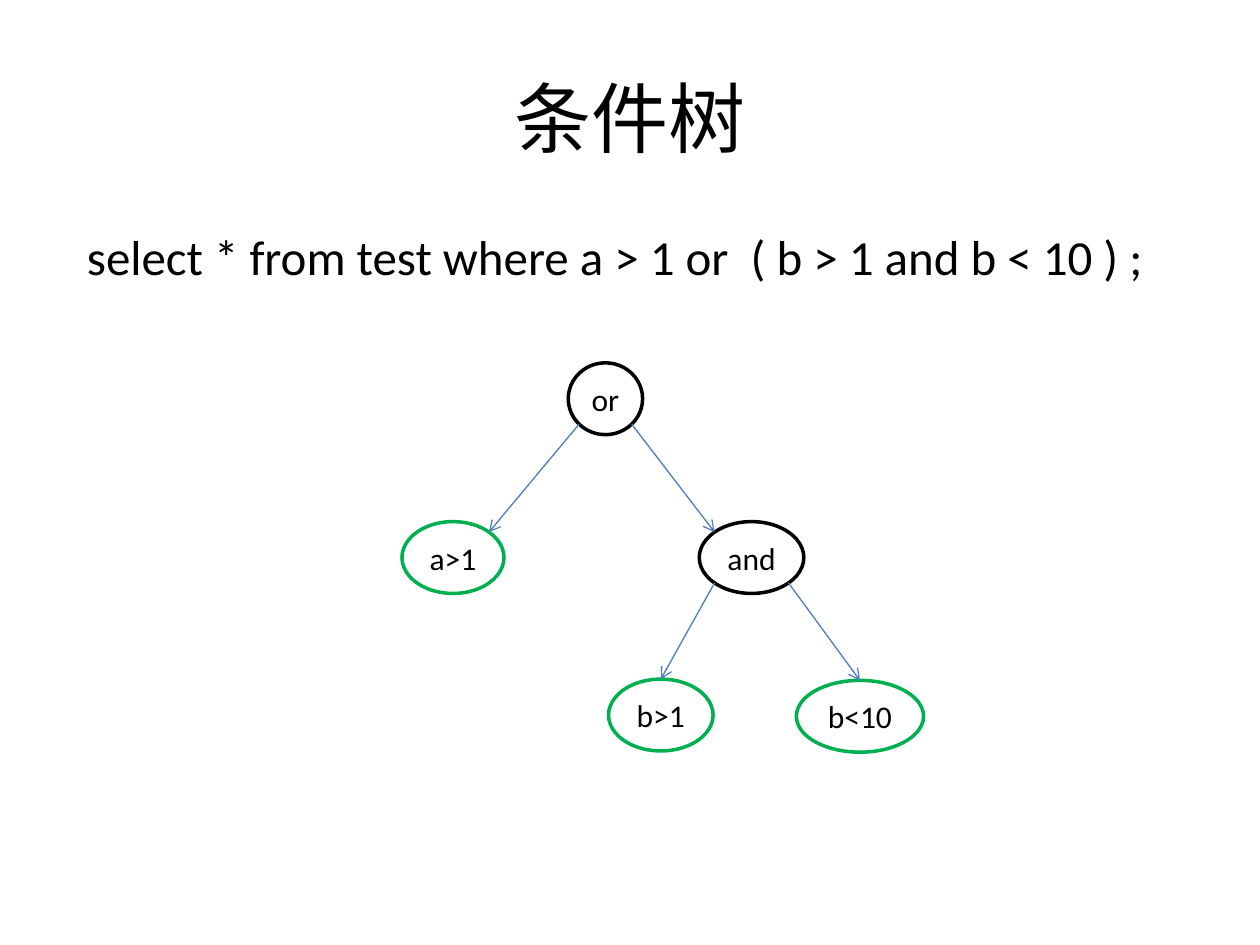
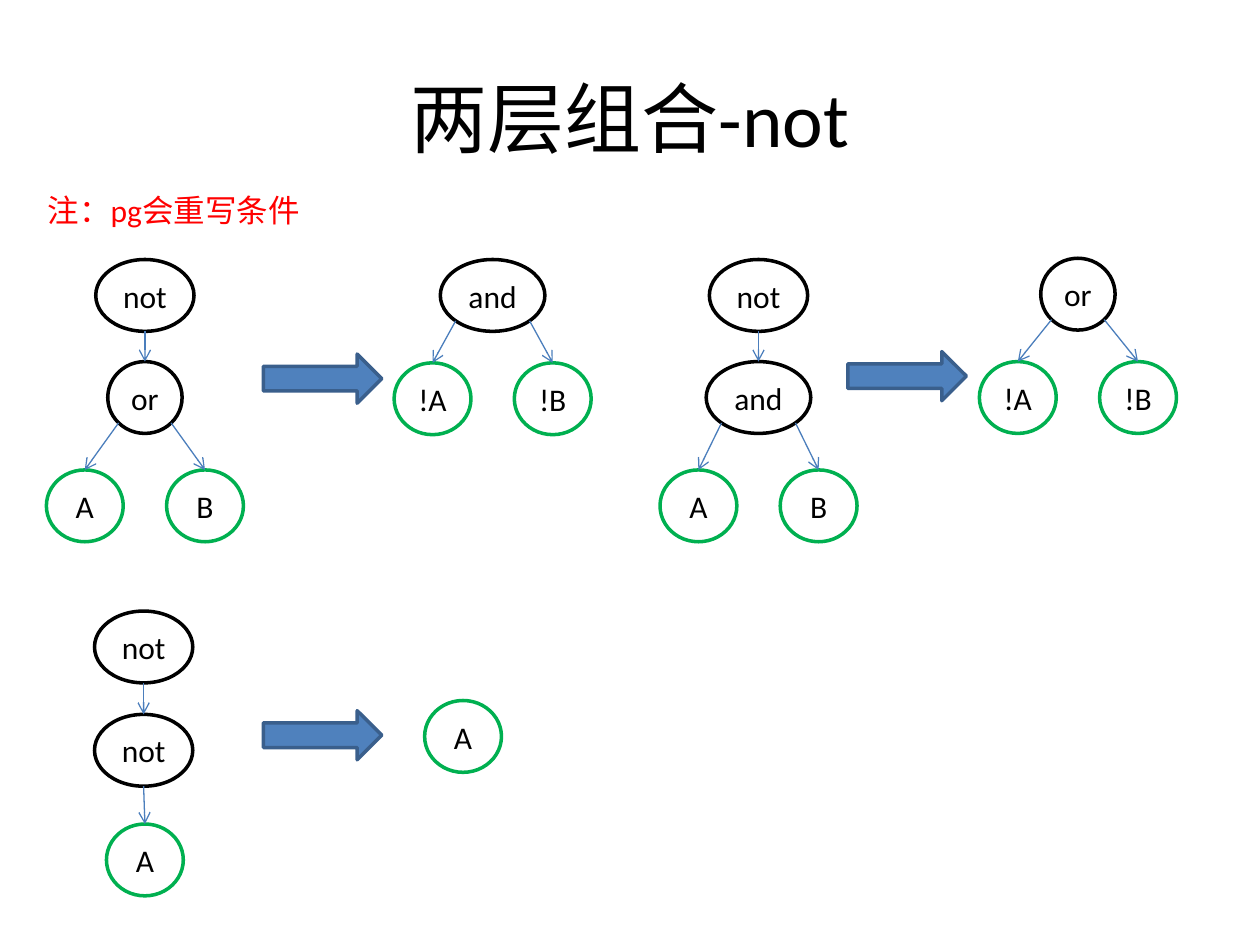
from math import sqrt
from typing import NamedTuple

from lxml.etree import SubElement
from pptx import Presentation
from pptx.dml.color import RGBColor
from pptx.enum.shapes import MSO_CONNECTOR, MSO_SHAPE
from pptx.enum.text import MSO_ANCHOR, PP_ALIGN
from pptx.oxml.ns import qn
from pptx.util import Inches, Pt

COLORS = {
    "text": "000000",
    "note": "FF0000",
    "gate": "000000",
    "leaf": "00B050",
    "link": "4B7EBC",
    "arrow": "4F81BD",
    "edge": "3A5F8C",
}
FONT = "Calibri"
WIDE, HIGH = Inches(10), Inches(7.5)
COLS, ROWS = 100, 75

# Ellipse sizes, in columns and rows
WIDTHS = {"or": 5.9, "and": 8.3, "not": 7.8, "a>1": 8.1, "b>1": 8.3, "b<10": 10.1}
LEAF_W, NODE_H = 6.1, 5.7
GATES = {"or", "and", "not"}
SPREAD = 4.77


class Node(NamedTuple):
    """A tree node; x is its centre column and y its top row."""
    text: str
    x: float
    y: float
    kids: tuple = ()
    slant: bool = False  # links meet the children at their upper corners

    @property
    def width(self) -> float:
        return WIDTHS.get(self.text, LEAF_W)

    def site(self, side: int, down: int) -> tuple[float, float]:
        """Point on the rim: side is -1, 0 or 1, down is -1 (top) or 1 (bottom)."""
        share = 1 / sqrt(2) if side else 1
        return (self.x + side * share * self.width / 2,
                self.y + NODE_H / 2 * (1 + down * share))


class Arrow(NamedTuple):
    x: float
    y: float
    w: float = 9.4
    h: float = 3.9


def col(n: float) -> int:
    return round(WIDE * n / COLS)


def row(n: float) -> int:
    return round(HIGH * n / ROWS)


def rgb(name: str) -> RGBColor:
    return RGBColor.from_string(COLORS[name])


def write(frame, text: str, *, size=18, color="text", align=PP_ALIGN.CENTER,
          anchor=MSO_ANCHOR.MIDDLE, wrap=True):
    frame.word_wrap = wrap
    frame.vertical_anchor = anchor
    par = frame.paragraphs[0]
    par.alignment = align
    par.space_before = Pt(0)
    run = par.add_run()
    run.text = text
    run.font.name, run.font.size = FONT, Pt(size)
    run.font.color.rgb = rgb(color)
    return par


def place(shape, x: float, y: float, w: float, h: float) -> None:
    shape.left, shape.top, shape.width, shape.height = col(x), row(y), col(w), row(h)


def start(deck, layout: int, title: str):
    slide = deck.slides.add_slide(deck.slide_layouts[layout])
    place(slide.shapes.title, 5, 3, 90, 12.5)
    write(slide.shapes.title.text_frame, title, size=44)
    return slide


def outline(slide, kind, x: float, y: float, w: float, h: float, line: str):
    shape = slide.shapes.add_shape(kind, col(x), row(y), col(w), row(h))
    shape.shadow.inherit = False
    shape.line.color.rgb, shape.line.width = rgb(line), Pt(2)
    return shape


def link(slide, tip: tuple[float, float], end: tuple[float, float]) -> None:
    line = slide.shapes.add_connector(
        MSO_CONNECTOR.STRAIGHT, col(tip[0]), row(tip[1]), col(end[0]), row(end[1]))
    line.line.color.rgb, line.line.width = rgb("link"), Pt(0.75)
    SubElement(line.line._get_or_add_ln(), qn("a:tailEnd"), type="arrow")
    SubElement(line._element.spPr, qn("a:effectLst"))


def grow(slide, node: Node) -> None:
    """Draw a node, its children and the links between them."""
    oval = outline(slide, MSO_SHAPE.OVAL, node.x - node.width / 2, node.y,
                   node.width, NODE_H, "gate" if node.text in GATES else "leaf")
    oval.fill.background()
    write(oval.text_frame, node.text, wrap=False)
    for kid in node.kids:
        gap = kid.x - node.x
        side = 0 if abs(gap) < 1 else 1 if gap > 0 else -1
        grow(slide, kid)
        link(slide, node.site(side, 1), kid.site(-side if node.slant else 0, -1))


def point(slide, arrow: Arrow) -> None:
    shape = outline(slide, MSO_SHAPE.RIGHT_ARROW, *arrow, "edge")
    shape.fill.solid()
    shape.fill.fore_color.rgb = rgb("arrow")


def fork(gate: str, x: float, y: float, pair: tuple[str, str], drop: float) -> Node:
    """A gate with two leaves spread evenly below it."""
    left, right = pair
    return Node(gate, x, y, (Node(left, x - SPREAD, y + drop),
                             Node(right, x + SPREAD, y + drop)))


def negate(gate: str, x: float) -> Node:
    return Node("not", x, 20.6, (fork(gate, x, 28.7, ("A", "B"), 8.6),))


def tree_slide(deck) -> None:
    slide = start(deck, 1, "条件树")
    body = slide.placeholders[1]
    place(body, 5, 17.5, 90, 49.5)
    par = write(body.text_frame,
                "select * from test where a > 1 or  ( b > 1 and b < 10 ) ;",
                size=28, align=PP_ALIGN.LEFT, anchor=MSO_ANCHOR.TOP)
    props = par._p.get_or_add_pPr()
    props.set("marL", str(Inches(0.38)))
    props.set("indent", str(Inches(-0.29)))
    SubElement(props, qn("a:buNone"))
    both = Node("and", 59.65, 41.4, (Node("b>1", 52.45, 53.9), Node("b<10", 68.25, 54)))
    grow(slide, Node("or", 48.05, 28.8, (Node("a>1", 35.95, 41.4), both), slant=True))


def not_slide(deck) -> None:
    slide = start(deck, 5, "两层组合-not")
    note = slide.shapes.add_textbox(col(2.8), row(14.7), col(22.2), row(4))
    write(note.text_frame, "注：pg会重写条件", color="note",
          align=PP_ALIGN.LEFT, anchor=MSO_ANCHOR.TOP)
    twice = Node("not", 11.4, 48.5, (Node("not", 11.4, 56.7, (Node("A", 11.5, 65.4),)),))
    trees = (
        negate("or", 11.5),
        fork("and", 39.1, 20.6, ("!A", "!B"), 8.2),
        negate("and", 60.2),
        fork("or", 85.55, 20.5, ("!A", "!B"), 8.2),
        twice,
        Node("A", 36.75, 55.6),
    )
    for tree in trees:
        grow(slide, tree)
    for arrow in (Arrow(20.9, 28.1), Arrow(67.3, 27.9), Arrow(20.9, 56.4)):
        point(slide, arrow)


def main() -> None:
    deck = Presentation()
    deck.slide_width, deck.slide_height = WIDE, HIGH
    tree_slide(deck)
    not_slide(deck)
    deck.save("out.pptx")


if __name__ == "__main__":
    main()
